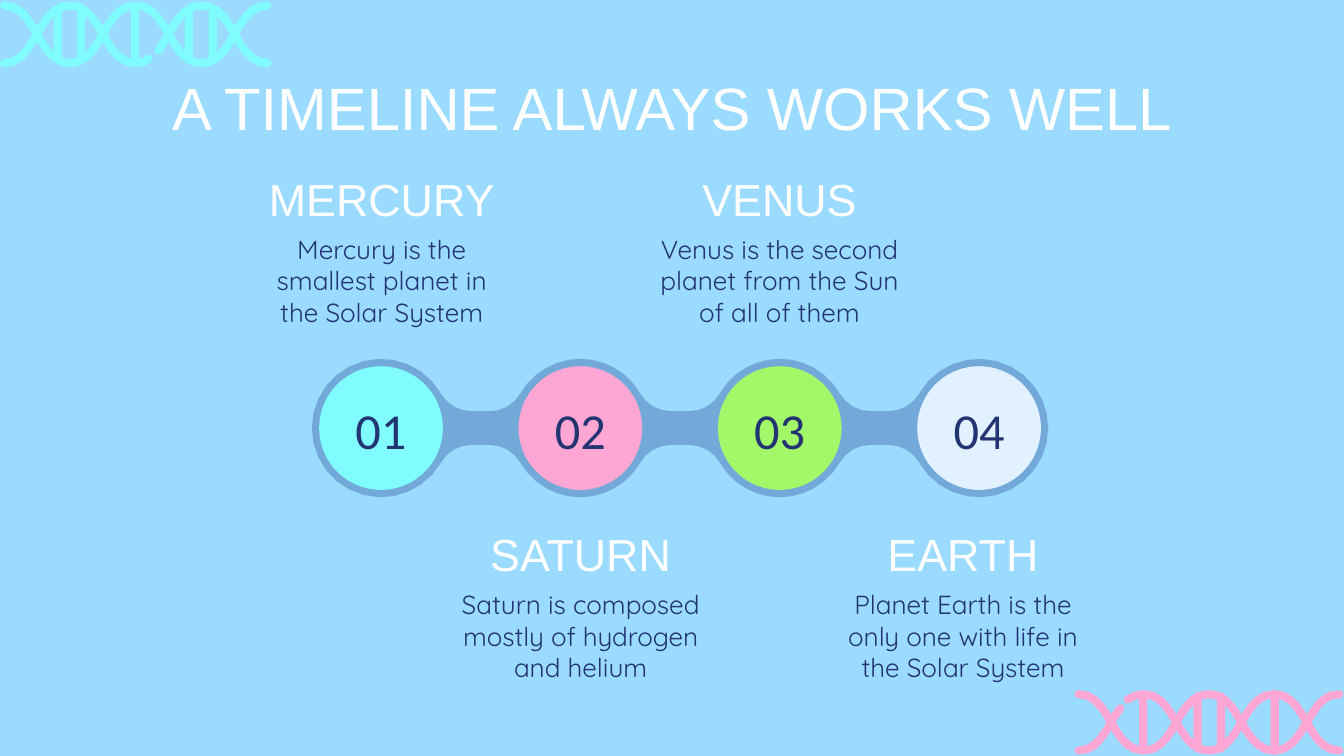
import math
import pptx
import pptx.util
import pptx.oxml.ns
import pptx.dml.color
import pptx.enum.shapes
import pptx.enum.text
from pptx.util import Inches
from lxml import etree

RGB = pptx.dml.color.RGBColor.from_string
SHAPE = pptx.enum.shapes.MSO_SHAPE
ANCHOR = pptx.enum.text.MSO_ANCHOR

THEME = {
    "sky": "9BDBFF", "track": "72A9D8",
    "cyan": "80FCFF", "pink": "FFA7D4", "green": "A2F869", "pale": "E1F1FF",
    "title": {"size": 64, "name": "Arial", "color": "FFFFFF"},
    "planet": {"size": 48, "name": "Arial", "color": "FFFFFF"},
    "number": {"size": 54, "name": "Calibri", "color": "223572"},
    "body": {"size": 28, "name": "Quicksand", "color": "223572"},
}

prs = pptx.Presentation()
prs.slide_width, prs.slide_height = Inches(20), Inches(11.25)
s = prs.slides.add_slide(prs.slide_layouts[5])
s.background.fill.solid()
s.background.fill.fore_color.rgb = RGB(THEME["sky"])


def arc(cx, cy, radius, start, end, steps):
    angles = [math.radians(start + (end - start) * i / steps) for i in range(steps + 1)]
    return [(cx + radius * math.cos(a), cy + radius * math.sin(a)) for a in angles]


def paint(sp, color):
    sp.shadow.inherit = False
    sp.fill.solid()
    sp.fill.fore_color.rgb = RGB(THEME[color])
    sp.line.fill.background()


quarter = []
for i in range(6):
    t = i / 5
    bend = 3 * (1 - t) * t * t
    quarter.append((0.75 * (1 - t) ** 2 * t + 0.375 * bend + t ** 3 / 2,
                    0.25 * bend + t ** 3 / 2))
half = quarter[:-1] + [(1 - x, 1 - y) for x, y in quarter[:0:-1]]

helices = [
    ("cyan", 0.06, 0.08, 0.98, 0.86, [(2.21, 0.87), (2.36, 0.75)],
     [(0.86, 0.88), (1.21, 0.88), (2.01, 0.98), (2.81, 0.88), (3.17, 0.88)]),
    ("pink", 16.05, 10.33, 0.97, 0.84, [(16.67, 10.54), (16.78, 10.41)],
     [(17.01, 0.96), (17.82, 0.89), (18.17, 0.89), (18.97, 0.96)]),
]
width = 0.12
for color, left, top, step, height, gap, rungs in helices:
    whole, split = [
        [(left + (k + x) * step, top + height * (1 - y if (k + phase) % 2 else y))
         for k in range(5) for x, y in half][:4 * len(half) + 1]
        for phase in (0, 1)]
    before = [q for q in split if q[0] < gap[0][0]] + gap[:1]
    after = gap[1:] + [q for q in split if q[0] > gap[1][0]]
    for strand in (whole, before, after):
        emu = [(Inches(x), Inches(y)) for x, y in strand]
        builder = s.shapes.build_freeform(*emu[0])
        builder.add_line_segments(emu[1:], close=False)
        sp = builder.convert_to_shape()
        sp.shadow.inherit = False
        sp.fill.background()
        sp.line.color.rgb = RGB(THEME[color])
        sp.line.width = Inches(width)
        ln = sp.line._get_or_add_ln()
        ln.set("cap", "rnd")
        etree.SubElement(ln, pptx.oxml.ns.qn("a:round"))
    for x, length in rungs:
        sp = s.shapes.add_shape(SHAPE.ROUNDED_RECTANGLE, Inches(x - width / 2),
                                Inches(top + (height - length) / 2), Inches(width), Inches(length))
        sp.adjustments[0] = 0.5
        paint(sp, color)

middle, ring, fillet, neck = 6.37, 1.03, 0.53, 0.25
reach = 1.35
centers = [5.67 + i * 8.9 / 3 for i in range(4)]
fillet_y = middle - neck - fillet
edge = []
for i, x in enumerate(centers):
    if i > 0:
        edge += arc(x - reach, fillet_y, fillet, 90, 30, 4)
    edge += arc(x, middle, ring, 210 if i else 180, 330 if i < 3 else 360, 12)
    if i < 3:
        edge += arc(x + reach, fillet_y, fillet, 150, 90, 4)
edge += [(x, 2 * middle - y) for x, y in edge[::-1]]
emu = [(Inches(x), Inches(y)) for x, y in edge]
builder = s.shapes.build_freeform(*emu[0])
builder.add_line_segments(emu[1:], close=True)
paint(builder.convert_to_shape(), "track")

texts = [("A TIMELINE ALWAYS WORKS WELL", "title", (1.59, 1.19, 16.82, 1))]
stops = [
    ("cyan", "MERCURY", "Mercury is the smallest planet in the Solar System", 3.68, 2.55),
    ("pink", "SATURN", "Saturn is composed mostly of hydrogen and helium", 6.64, 7.84),
    ("green", "VENUS", "Venus is the second planet from the Sun of all of them", 9.6, 2.55),
    ("pale", "EARTH", "Planet Earth is the only one with life in the Solar System", 12.33, 7.84),
]
disc = 1.84
for i, (color, planet, fact, left, top) in enumerate(stops):
    disc_left = centers[i] - disc / 2
    sp = s.shapes.add_shape(SHAPE.OVAL, Inches(disc_left), Inches(middle - disc / 2),
                            Inches(disc), Inches(disc))
    paint(sp, color)
    texts += [
        (f"{i + 1:02}", "number", (disc_left, 5.95, disc, 0.87)),
        (planet, "planet", (left + 0.01, top, 3.98, 0.8)),
        (fact, "body", (left, top + 0.72, 4, 2)),
    ]

for text, style, box in texts:
    place = dict(zip(("left", "top", "width", "height"), map(Inches, box)))
    sp = s.shapes.title if style == "title" else s.shapes.add_textbox(*place.values())
    for key, value in place.items():
        setattr(sp, key, value)
    tf = sp.text_frame
    frame = {
        "word_wrap": True,
        "auto_size": pptx.enum.text.MSO_AUTO_SIZE.NONE,
        "vertical_anchor": ANCHOR.TOP if style == "body" else ANCHOR.MIDDLE,
    }
    frame.update({"margin_" + side: Inches(0.2) for side in ("left", "top", "right", "bottom")})
    for key, value in frame.items():
        setattr(tf, key, value)
    p = tf.paragraphs[0]
    p.alignment = pptx.enum.text.PP_ALIGN.CENTER
    if style == "title":
        p.line_spacing = 0.8
    r = p.add_run()
    r.text = text
    look = THEME[style]
    for key, value in {"size": pptx.util.Pt(look["size"]), "name": look["name"]}.items():
        setattr(r.font, key, value)
    r.font.color.rgb = RGB(look["color"])

prs.save("out.pptx")
